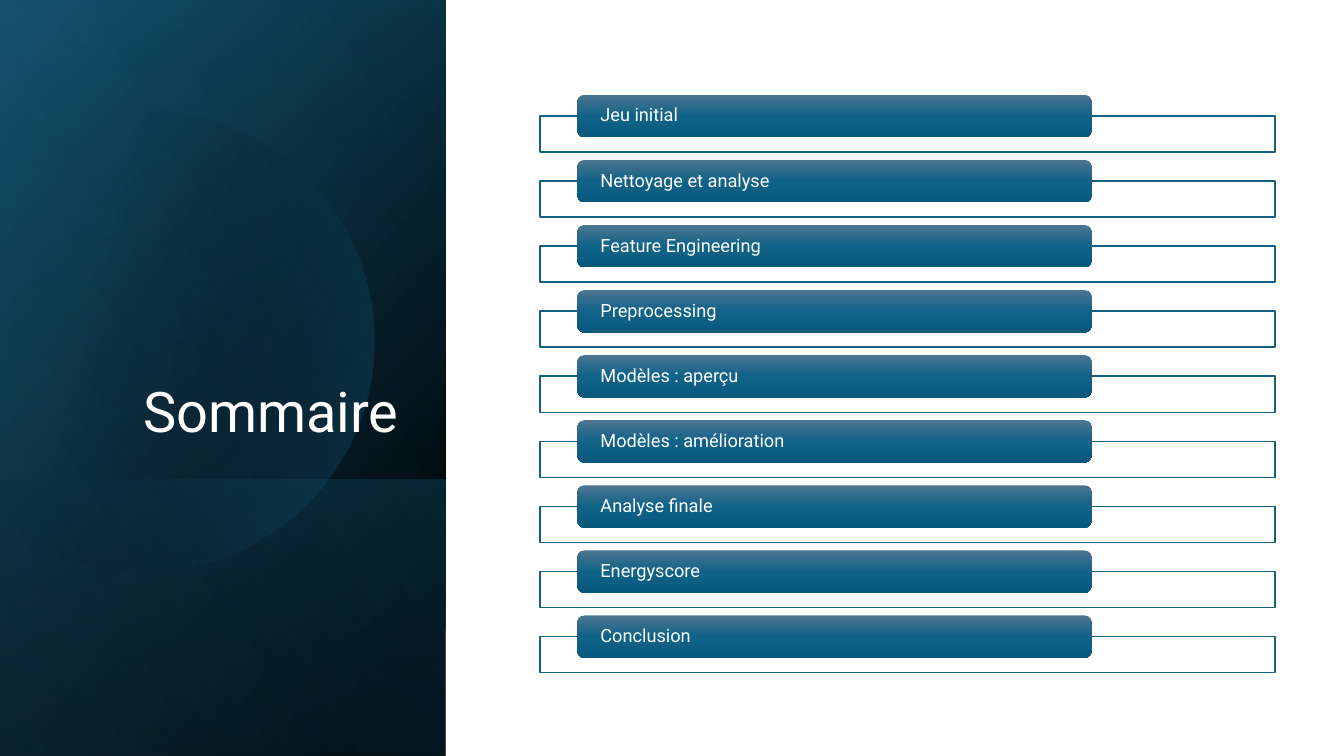
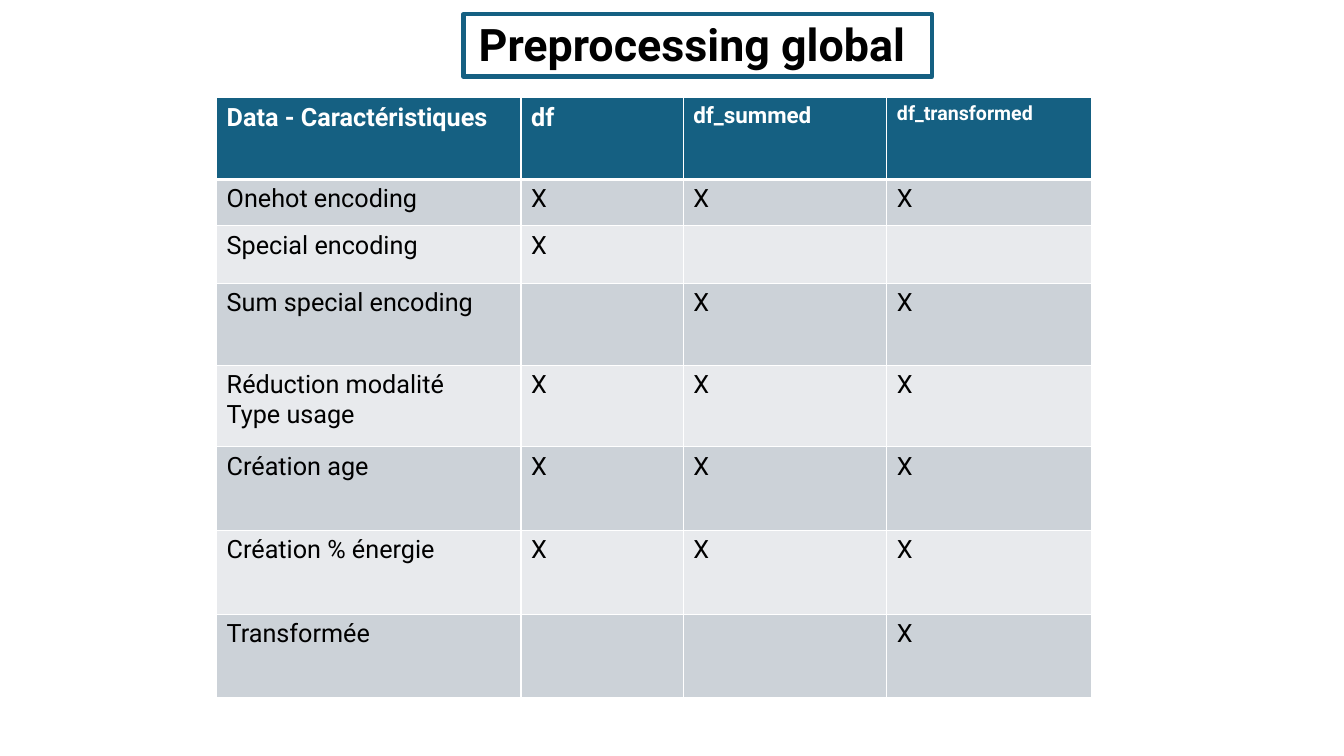
import math

import pptx
import pptx.dml.color
import pptx.enum.shapes
import pptx.enum.text
import pptx.oxml
import pptx.oxml.ns
import pptx.util

Cm, Pt = pptx.util.Cm, pptx.util.Pt
SHAPE = pptx.enum.shapes.MSO_SHAPE
ALIGN = pptx.enum.text.PP_ALIGN
ANCHOR = pptx.enum.text.MSO_ANCHOR
color = pptx.dml.color.RGBColor.from_string

# Shared colours and text formats
BLACK, WHITE, BLUE = color("000000"), color("FFFFFF"), color("156082")
NAVY, SKY = color("104862"), color("46B1E1")
PILL_TOP, PILL_MIDDLE, PILL_BOTTOM = color("4C7591"), color("106287"), color("09597D")
BAND_DARK, BAND_LIGHT = color("CCD2D8"), color("E8EAED")
BASE = {"name": "Roboto", "bold": False}
COVER_TITLE = {**BASE, "size": Pt(40)}
TOPIC = {**BASE, "size": Pt(13)}
SLIDE_TITLE = {**BASE, "size": Pt(32), "bold": True}
BODY = {**BASE, "size": Pt(18)}


def gradient(shape, stops, angle):
    """Fill a shape with (position %, colour, opacity %) stops, without outline."""
    stop_list = "".join(
        f'<a:gs pos="{position * 1000}"><a:srgbClr val="{tone}">'
        f'<a:alpha val="{opacity * 1000}"/></a:srgbClr></a:gs>'
        for position, tone, opacity in stops)
    shape.fill.background()
    properties = shape._element.spPr
    properties.replace(properties.find(pptx.oxml.ns.qn("a:noFill")), pptx.oxml.parse_xml(
        f'<a:gradFill {pptx.oxml.ns.nsdecls("a")} rotWithShape="1"><a:gsLst>{stop_list}</a:gsLst>'
        f'<a:lin ang="{angle * 60000}" scaled="0"/></a:gradFill>'))
    shape.line.fill.background()
    shape.shadow.inherit = False


def write(frame, text, text_format, tone, align=ALIGN.LEFT, spacing=0.9):
    frame.word_wrap = True
    frame.text = text
    for paragraph in frame.paragraphs:
        paragraph.alignment = align
        paragraph.line_spacing = spacing
        for run in paragraph.runs:
            for attribute, value in text_format.items():
                setattr(run.font, attribute, value)
            run.font.color.rgb = tone


deck = pptx.Presentation()
deck.slide_width, deck.slide_height = Cm(33.87), Cm(19.05)
blank = deck.slide_layouts[6]

# Slide 1: side panel, layered from back to front
agenda = deck.slides.add_slide(blank)
panel_width, panel_height = 11.23, 19.05
layers = [
    (panel_height, [(8, BLACK, 100), (100, NAVY, 100)], 50),
    (panel_height, [(0, BLACK, 0), (99, BLUE, 46)], 30),
    (6.96, [(2, BLUE, 29), (100, BLACK, 30)], 130),
    ("disc", [(29, BLACK, 0), (100, BLUE, 43)], 14),
    (panel_height, [(0, BLACK, 0), (99, SKY, 11)], 120),
]
for extent, stops, angle in layers:
    if extent == "disc":
        # Circle cut off by the left edge of the slide
        center_x, center_y, radius = 3.63, 8.6, 5.8
        limit = math.acos(-center_x / radius)
        arc = [(Cm(center_x + radius * math.cos(limit * step / 60)),
                Cm(center_y + radius * math.sin(limit * step / 60)))
               for step in range(-60, 61)]
        outline = agenda.shapes.build_freeform(*arc[0])
        outline.add_line_segments(arc[1:], close=True)
        layer = outline.convert_to_shape()
    else:
        # Turned by 90 degrees, so the extent runs down the slide from its foot
        layer = agenda.shapes.add_shape(
            SHAPE.RECTANGLE, Cm((panel_width - extent) / 2),
            Cm(panel_height - (extent + panel_width) / 2), Cm(extent), Cm(panel_width))
        layer.rotation = 90
        layer._element.spPr.xfrm.set("flipH", "1")
    gradient(layer, stops, angle)

heading = agenda.shapes.add_textbox(Cm(1.63), Cm(4.67), Cm(8.66), Cm(6.65))
heading.text_frame.vertical_anchor = ANCHOR.BOTTOM
write(heading.text_frame, "Sommaire", COVER_TITLE, WHITE, ALIGN.RIGHT)

# Slide 1: list of topics
topics = ["Jeu initial", "Nettoyage et analyse", "Feature Engineering", "Preprocessing",
          "Modèles : aperçu", "Modèles : amélioration", "Analyse finale", "Energyscore",
          "Conclusion"]
first_top, pitch = 2.39, 1.64
for index, topic in enumerate(topics):
    top = first_top + index * pitch
    bracket = agenda.shapes.add_shape(
        SHAPE.RECTANGLE, Cm(13.61), Cm(top + 0.53), Cm(18.52), Cm(0.91))
    bracket.shadow.inherit = False
    bracket.fill.solid()
    bracket.fill.fore_color.rgb = WHITE
    bracket.line.color.rgb = BLUE
    bracket.line.width = Pt(1)

    pill = agenda.shapes.add_shape(
        SHAPE.ROUNDED_RECTANGLE, Cm(14.55), Cm(top), Cm(12.96), Cm(1.07))
    gradient(pill, [(0, PILL_TOP, 100), (50, PILL_MIDDLE, 100), (100, PILL_BOTTOM, 100)], 90)
    label = pill.text_frame
    label.margin_left = label.margin_right = Cm(0.53)
    label.margin_top = label.margin_bottom = 0
    label.vertical_anchor = ANCHOR.MIDDLE
    write(label, topic, TOPIC, WHITE)

# Slide 2: framed title
preprocessing = deck.slides.add_slide(blank)
title = preprocessing.shapes.add_textbox(Cm(11.68), Cm(0.36), Cm(11.81), Cm(1.57))
title.line.color.rgb = BLUE
title.line.width = Pt(3)
title.text_frame.vertical_anchor = ANCHOR.BOTTOM
write(title.text_frame, "Preprocessing global ", SLIDE_TITLE, BLACK, ALIGN.CENTER)

# Slide 2: which step applies to which data set
steps = [
    ("Data - Caractéristiques", "df", "df_summed", "df_transformed"),
    ("Onehot encoding", "X", "X", "X"),
    ("Special encoding", "X", "", ""),
    ("Sum special encoding", "", "X", "X"),
    ("Réduction modalité\nType usage", "X", "X", "X"),
    ("Création age", "X", "X", "X"),
    ("Création % énergie", "X", "X", "X"),
    ("Transformée", "", "", "X"),
]
column_widths = [7.67, 4.09, 5.13, 5.16]
row_heights = [2.06, 1.17, 1.45, 2.06, 2.06, 2.11, 2.11, 2.11]
header_sizes = [18, 18, 16, 14]
matrix = preprocessing.shapes.add_table(
    len(steps), len(column_widths), Cm(5.46), Cm(2.46),
    Cm(sum(column_widths)), Cm(sum(row_heights))).table
for column, width in zip(matrix.columns, column_widths):
    column.width = Cm(width)
for row, height in zip(matrix.rows, row_heights):
    row.height = Cm(height)

for row_index, entries in enumerate(steps):
    is_header = row_index == 0
    band = BLUE if is_header else BAND_DARK if row_index % 2 else BAND_LIGHT
    edges = {"lnL": 1, "lnR": 1, "lnT": 3 if row_index == 1 else 1, "lnB": 3 if is_header else 1}
    for column_index, entry in enumerate(entries):
        cell = matrix.cell(row_index, column_index)
        for edge, weight in edges.items():
            cell._tc.get_or_add_tcPr().append(pptx.oxml.parse_xml(
                f'<a:{edge} {pptx.oxml.ns.nsdecls("a")} w="{Pt(weight)}"><a:solidFill>'
                f'<a:srgbClr val="{WHITE}"/></a:solidFill></a:{edge}>'))
        cell.fill.solid()
        cell.fill.fore_color.rgb = band
        header_format = {**BODY, "size": Pt(header_sizes[column_index]), "bold": True}
        write(cell.text_frame, entry, header_format if is_header else BODY,
              WHITE if is_header else BLACK, spacing=1.0)

deck.save("out.pptx")
